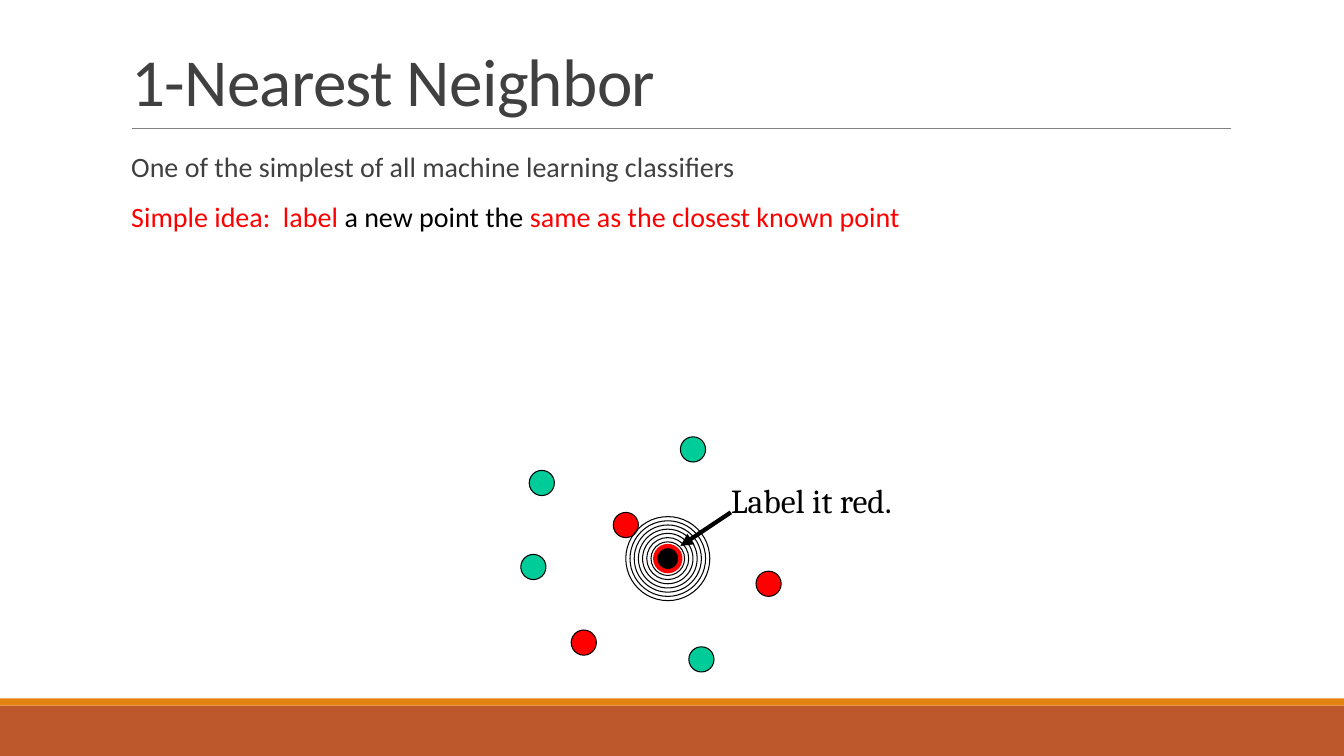
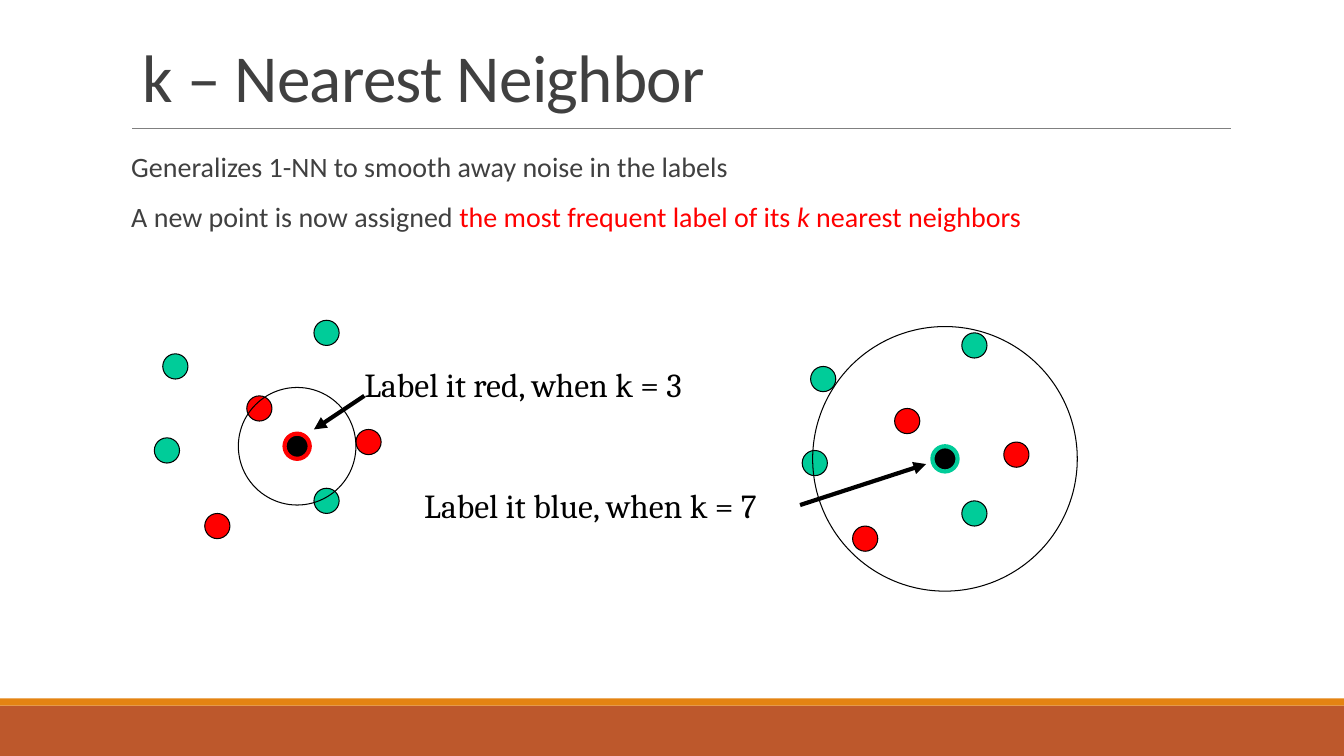
from pptx import Presentation
from pptx.dml.color import RGBColor
from pptx.enum.shapes import MSO_CONNECTOR as Connector, MSO_SHAPE as Shape
from pptx.enum.text import MSO_ANCHOR as Anchor
from pptx.oxml.ns import qn
from pptx.util import Emu, Pt
from lxml.etree import SubElement

PX = 9525
WIDTH, HEIGHT = 1280, 720
DOT = 24

BLACK, GRAY, RULE = "000000", "404040", "808080"
RED, GREEN = "FF0000", "00CC99"
RUST, ORANGE = "BD582C", "E48312"

SHARED_DOTS = [(0, 0, GREEN), (40, 152, RED), (144, -32, GREEN),
               (-8, 80, GREEN), (80, 40, RED)]
WIDE_DOTS = SHARED_DOTS + [(216, 96, RED), (152, 168, GREEN)]
CLOSE_DOTS = SHARED_DOTS + [(184, 72, RED), (144, 128, GREEN)]


def px(value):
    return Emu(value * PX)


def color(code):
    return RGBColor.from_string(code)


def add_shape(page, kind, left, top, width, height, fill=None, line=None, weight=0.75):
    shape = page.shapes.add_shape(kind, px(left), px(top), px(width), px(height))
    shape.shadow.inherit = False
    if fill:
        shape.fill.solid()
        shape.fill.fore_color.rgb = color(fill)
    else:
        shape.fill.background()
    if line:
        shape.line.color.rgb = color(line)
        shape.line.width = Pt(weight)
    else:
        shape.line.fill.background()
    return shape


def add_circle(page, center, diameter, fill=None, line=BLACK, weight=0.75):
    left, top = (value - diameter // 2 for value in center)
    add_shape(page, Shape.OVAL, left, top, diameter, diameter, fill, line, weight)


def add_line(page, start, end, line, weight, arrow=False):
    connector = page.shapes.add_connector(
        Connector.STRAIGHT, px(start[0]), px(start[1]), px(end[0]), px(end[1]))
    connector.line.color.rgb = color(line)
    connector.line.width = Pt(weight)
    if arrow:
        SubElement(connector.line._get_or_add_ln(), qn("a:tailEnd"), type="triangle")
    SubElement(connector._element.spPr, qn("a:effectLst"))


def add_text_frame(page, left, top, width, height, side, edge=5):
    box = page.shapes.add_textbox(px(left), px(top), px(width), px(height))
    frame = box.text_frame
    frame.word_wrap = True
    frame.margin_left = frame.margin_right = px(side)
    frame.margin_top = frame.margin_bottom = px(edge)
    return frame


def set_font(para, name, size, code):
    para.font.name = name
    para.font.size = Pt(size)
    para.font.color.rgb = color(code)


def add_title(page, text, left, top):
    frame = add_text_frame(page, left, top, 816, 120, 10)
    frame.vertical_anchor = Anchor.BOTTOM
    para = frame.paragraphs[0]
    para.line_spacing = 0.85
    set_font(para, "Calibri", 48, GRAY)
    span = para.add_run()
    span.text = text
    span.font._element.set("spc", "-50")


def add_body(page, paragraphs):
    frame = add_text_frame(page, 115, 141, 1056, 475, 0)
    for index, spans in enumerate(paragraphs):
        para = frame.add_paragraph() if index else frame.paragraphs[0]
        para.line_spacing = 0.9
        para.space_before, para.space_after = Pt(12), Pt(2)
        para._p.get_or_add_pPr().set("marL", str(px(10)))
        set_font(para, "Calibri", 20, GRAY)
        for text, code, italic in spans:
            span = para.add_run()
            span.text = text
            span.font.color.rgb = color(code)
            if italic:
                span.font.italic = True


def add_label(page, text, left, top, width):
    para = add_text_frame(page, left, top, width, 48, 5).paragraphs[0]
    para.text = text
    set_font(para, "Cambria", 24, BLACK)


def add_scatter(page, origin, dots, query, label_color, rings):
    def center(x, y):
        return origin[0] + x + DOT // 2, origin[1] + y + DOT // 2

    for x, y, fill in dots:
        add_circle(page, center(x, y), DOT, fill)
    for diameter in rings:
        add_circle(page, center(*query), diameter)
    add_circle(page, center(*query), DOT, BLACK, label_color, 3)


def add_page(deck, title, title_left, title_top, paragraphs):
    page = deck.slides.add_slide(deck.slide_layouts[6])
    add_shape(page, Shape.RECTANGLE, 0, 672, WIDTH, 48, RUST)
    add_shape(page, Shape.RECTANGLE, 0, 665, WIDTH, 7, ORANGE)
    add_line(page, (126, 122), (1172, 122), RULE, 0.5)
    add_title(page, title, title_left, title_top)
    add_body(page, paragraphs)
    return page


def add_one_nearest(deck):
    page = add_page(deck, "1-Nearest Neighbor", 115, -1, [
        [("One of the simplest of all machine learning classifiers", GRAY, False)],
        [("Simple idea:  label", RED, False),
         (" a new point the ", BLACK, False),
         ("same as the closest known point", RED, False)],
    ])
    add_scatter(page, (504, 448), WIDE_DOTS, (120, 72), RED, range(80, 31, -8))
    add_label(page, "Label it red.", 691, 452, 180)
    add_line(page, (696, 488), (648, 520), BLACK, 3, arrow=True)


def add_k_nearest(deck):
    page = add_page(deck, "k – Nearest Neighbor", 126, -4, [
        [("Generalizes 1-NN to smooth away noise in the labels", GRAY, False)],
        [("A new point is now assigned ", GRAY, False),
         ("the most frequent label of its ", RED, False),
         ("k", RED, True),
         (" nearest neighbors", RED, False)],
    ])
    add_scatter(page, (155, 337), CLOSE_DOTS, (116, 76), RED, [112])
    add_label(page, "Label it red, when k = 3", 342, 342, 346)
    add_line(page, (347, 377), (299, 409), BLACK, 3, arrow=True)
    add_scatter(page, (772, 349), CLOSE_DOTS, (116, 76), GREEN, [252])
    add_label(page, "Label it blue, when k = 7", 399, 457, 361)
    add_line(page, (762, 481), (882, 442), BLACK, 3, arrow=True)


def main():
    deck = Presentation()
    deck.slide_width, deck.slide_height = px(WIDTH), px(HEIGHT)
    add_one_nearest(deck)
    add_k_nearest(deck)
    deck.save("out.pptx")


if __name__ == "__main__":
    main()
